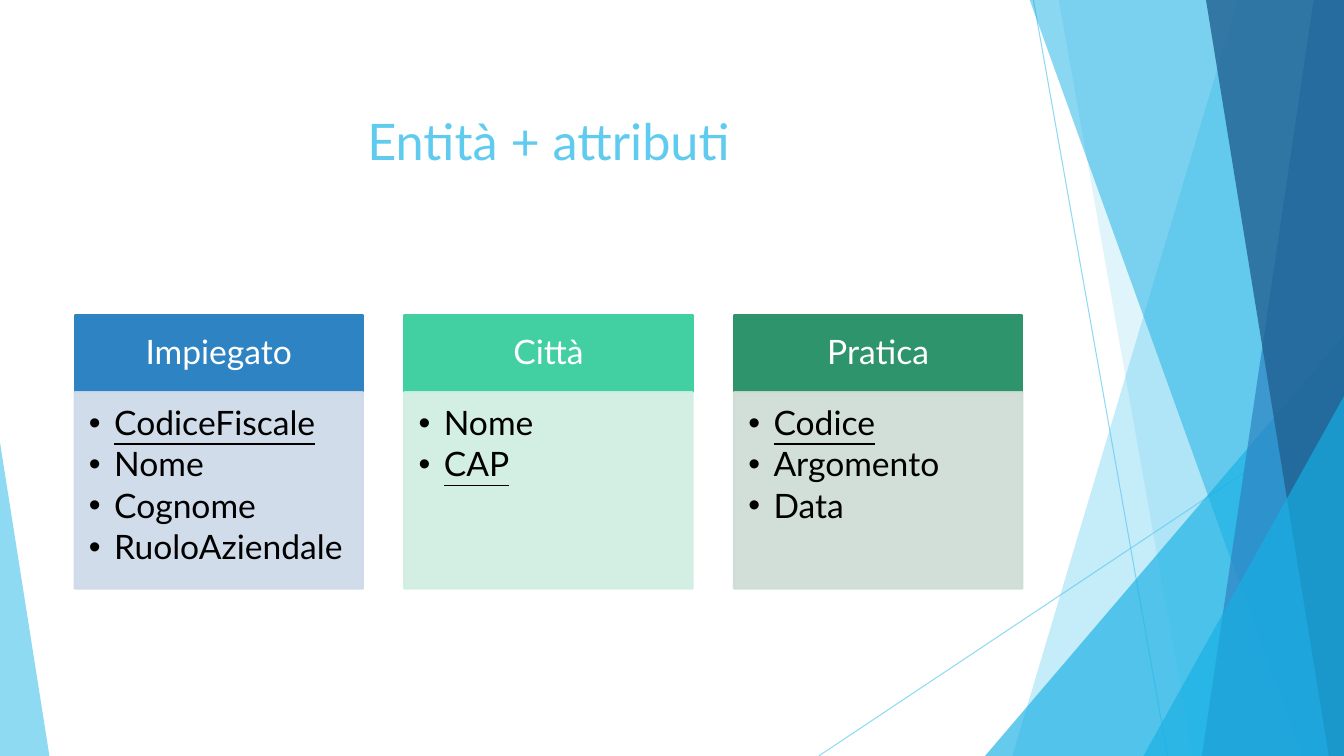
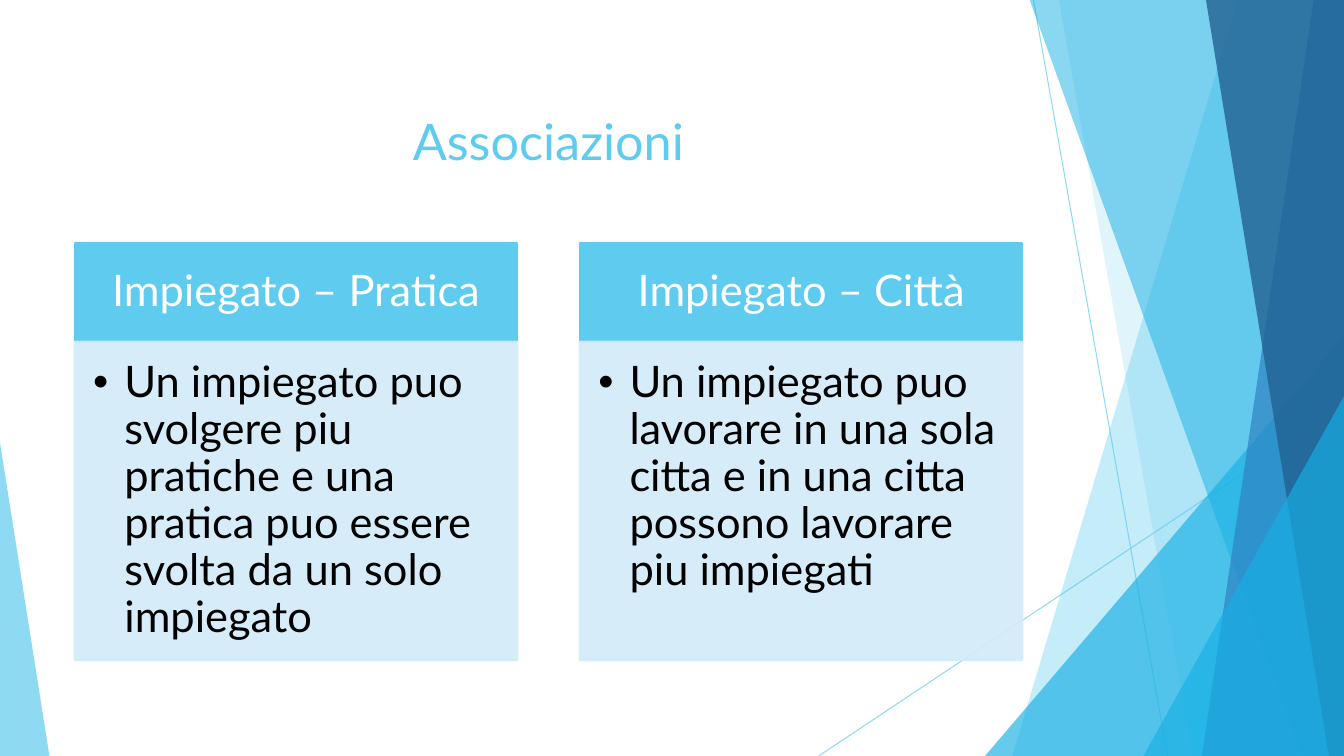
from lxml import etree
from pptx import Presentation
from pptx.dml.color import RGBColor
from pptx.enum.shapes import MSO_CONNECTOR as CONN, MSO_SHAPE as SHAPE
from pptx.enum.text import MSO_ANCHOR as ANCHOR, PP_ALIGN as ALIGN
from pptx.oxml.ns import qn
from pptx.util import Inches, Pt

FONT = "Lato"
SKY = RGBColor(0x5F, 0xCB, 0xEF)
CYAN = RGBColor(0x17, 0xB0, 0xE4)
BLUE = RGBColor(0x2E, 0x83, 0xC3)
NAVY = RGBColor(0x22, 0x62, 0x92)
MINT = RGBColor(0x42, 0xD0, 0xA2)
GREEN = RGBColor(0x2E, 0x94, 0x6B)
PALE_BLUE = RGBColor(0xCD, 0xD9, 0xE9)
PALE_MINT = RGBColor(0xCF, 0xEE, 0xE0)
PALE_GREEN = RGBColor(0xCD, 0xDC, 0xD4)
PALE_SKY = RGBColor(0xD2, 0xEC, 0xF9)
WHITE = RGBColor(0xFF, 0xFF, 0xFF)
BLACK = RGBColor(0x00, 0x00, 0x00)

WIDTH, HEIGHT = 13.33, 7.5
LEFT, CONTENT_W = 0.74, 9.4

# Cards: heading, heading colour, body colour, bullets
SLIDES = [
    {"title": "Entità + attributi", "size": 24, "indent": 0.25,
     "top": 3.13, "card_w": 2.86, "head_h": 0.76, "body_h": 1.95,
     "cards": [
         ("Impiegato", BLUE, PALE_BLUE,
          ["CodiceFiscale", "Nome", "Cognome", "RuoloAziendale"]),
         ("Città", MINT, PALE_MINT, ["Nome", "CAP"]),
         ("Pratica", GREEN, PALE_GREEN, ["Codice", "Argomento", "Data"]),
     ]},
    {"title": "Associazioni", "size": 31, "indent": 0.31,
     "top": 2.41, "card_w": 4.39, "head_h": 0.98, "body_h": 3.16,
     "cards": [
         ("Impiegato – Pratica", SKY, PALE_SKY,
          ["Un impiegato puo svolgere piu pratiche e una pratica puo "
           "essere svolta da un solo impiegato"]),
         ("Impiegato – Città", SKY, PALE_SKY,
          ["Un impiegato puo lavorare in una sola citta e in una citta "
           "possono lavorare piu impiegati"]),
     ]},
]
KEY_ATTRIBUTES = {"CodiceFiscale", "CAP", "Codice"}

RAYS = [(10.25, 0, 11.58, HEIGHT), (WIDTH, 4.03, 8.12, HEIGHT)]
# Bands run to the right edge: top x, bottom x, colour, opacity
# Triangles stand on the bottom edge: left, top, width, apex, colour, opacity
FACETS = [
    ("band", 12.28, 10.04, SKY, 36),
    ("band", 10.5, 11.83, SKY, 20),
    ("triangle", 9.77, 3.33, 3.56, 1, CYAN, 66),
    ("band", 10.21, 12.91, CYAN, 50),
    ("band", 13.03, 11.92, BLUE, 70),
    ("band", 11.96, 13.18, NAVY, 80),
    ("triangle", 11.34, 3.93, 1.99, 1, CYAN, 66),
    ("triangle", 0, 4.39, 0.49, 0, SKY, 70),
]


def set_opacity(shape, percent):
    for color in shape.element.spPr.iter(qn("a:srgbClr")):
        etree.SubElement(color, qn("a:alpha"), val=str(percent * 1000))


def paint(shape, color, opacity=100, line_width=None):
    shape.shadow.inherit = False
    shape.fill.solid()
    shape.fill.fore_color.rgb = color
    if line_width:
        shape.line.color.rgb = color
        shape.line.width = Pt(line_width)
    else:
        shape.line.fill.background()
    if opacity < 100:
        set_opacity(shape, opacity)


def add_ray(shapes, x1, y1, x2, y2):
    ray = shapes.add_connector(CONN.STRAIGHT, *map(Inches, (x1, y1, x2, y2)))
    ray.line.color.rgb = SKY
    ray.line.width = Pt(0.75)
    set_opacity(ray, 70)
    etree.SubElement(ray.element.spPr, qn("a:effectLst"))


def add_band(shapes, top_x, bottom_x, color, opacity):
    corners = [(top_x, -0.01), (WIDTH, -0.01), (WIDTH, HEIGHT), (bottom_x, HEIGHT)]
    points = [(Inches(x), Inches(y)) for x, y in corners]
    builder = shapes.build_freeform(*points[0])
    builder.add_line_segments(points[1:], close=True)
    paint(builder.convert_to_shape(), color, opacity)


def add_triangle(shapes, left, top, width, apex, color, opacity):
    box = map(Inches, (left, top, width, HEIGHT - top))
    triangle = shapes.add_shape(SHAPE.ISOSCELES_TRIANGLE, *box)
    triangle.adjustments[0] = apex
    paint(triangle, color, opacity)


def decorate_layout(layout, s):
    """Draw the facets on s as one group, then move it behind the layout's title."""
    for ph in list(layout.placeholders):
        if ph.placeholder_format.idx:
            ph.element.getparent().remove(ph.element)
    group = s.shapes.add_group_shape()
    for ray in RAYS:
        add_ray(group.shapes, *ray)
    draw = {"band": add_band, "triangle": add_triangle}
    for kind, *args in FACETS:
        draw[kind](group.shapes, *args)
    layout.shapes.element.insert(2, group.element)


def format_runs(p, size, color):
    for r in p.runs:
        r.font.name = FONT
        r.font.size = Pt(size)
        r.font.color.rgb = color


def add_title(s, text):
    title = s.shapes.title
    title.left, title.top = Inches(LEFT), Inches(0.67)
    title.width, title.height = Inches(CONTENT_W), Inches(1.44)
    tf = title.text_frame
    tf.text = text
    tf.vertical_anchor = ANCHOR.MIDDLE
    tf.paragraphs[0].alignment = ALIGN.CENTER
    format_runs(tf.paragraphs[0], 36, SKY)


def add_panel(s, box, color, opacity, anchor, margins, lines):
    sp = s.shapes.add_shape(SHAPE.RECTANGLE, *map(Inches, box))
    paint(sp, color, opacity, line_width=1.5)
    tf = sp.text_frame
    tf.word_wrap = True
    tf.vertical_anchor = anchor
    tf.margin_left, tf.margin_top, tf.margin_right, tf.margin_bottom = map(Pt, margins)
    tf.text = "\n".join(lines)
    return tf.paragraphs


def set_bullet(p, indent):
    pPr = p._p.get_or_add_pPr()
    pPr.set("marL", str(Inches(indent)))
    pPr.set("indent", str(-Inches(indent)))
    etree.SubElement(pPr, qn("a:buFont"), typeface="Arial")
    etree.SubElement(pPr, qn("a:buChar"), char="•")


def add_card(s, data, left, heading, head_color, body_color, bullets):
    size, top, width = data["size"], data["top"], data["card_w"]
    side, edge, inner, base = (size * k for k in (0.56, 0.32, 0.427, 0.64))

    head_box = (left, top, width, data["head_h"])
    p = add_panel(s, head_box, head_color, 100, ANCHOR.MIDDLE,
                  (side, edge, side, edge), [heading])[0]
    p.alignment = ALIGN.CENTER
    p.line_spacing = 0.9
    format_runs(p, size, WHITE)

    body_box = (left, top + data["head_h"], width, data["body_h"])
    for p in add_panel(s, body_box, body_color, 90, ANCHOR.TOP,
                       (inner, inner, side, base), bullets):
        set_bullet(p, data["indent"])
        p.alignment = ALIGN.LEFT
        p.line_spacing = 0.9
        p.space_after = Pt(size * 0.15)
        format_runs(p, size, BLACK)
        if p.text in KEY_ATTRIBUTES:
            p.runs[0].font.underline = True


def main():
    prs = Presentation()
    prs.slide_width, prs.slide_height = Inches(WIDTH), Inches(HEIGHT)
    layout = prs.slide_layouts[5]
    for number, data in enumerate(SLIDES):
        s = prs.slides.add_slide(layout)
        if number == 0:
            decorate_layout(layout, s)
        add_title(s, data["title"])
        cards = data["cards"]
        step = (CONTENT_W - data["card_w"]) / (len(cards) - 1)
        for i, card in enumerate(cards):
            add_card(s, data, LEFT + i * step, *card)
    prs.save("out.pptx")


if __name__ == "__main__":
    main()
